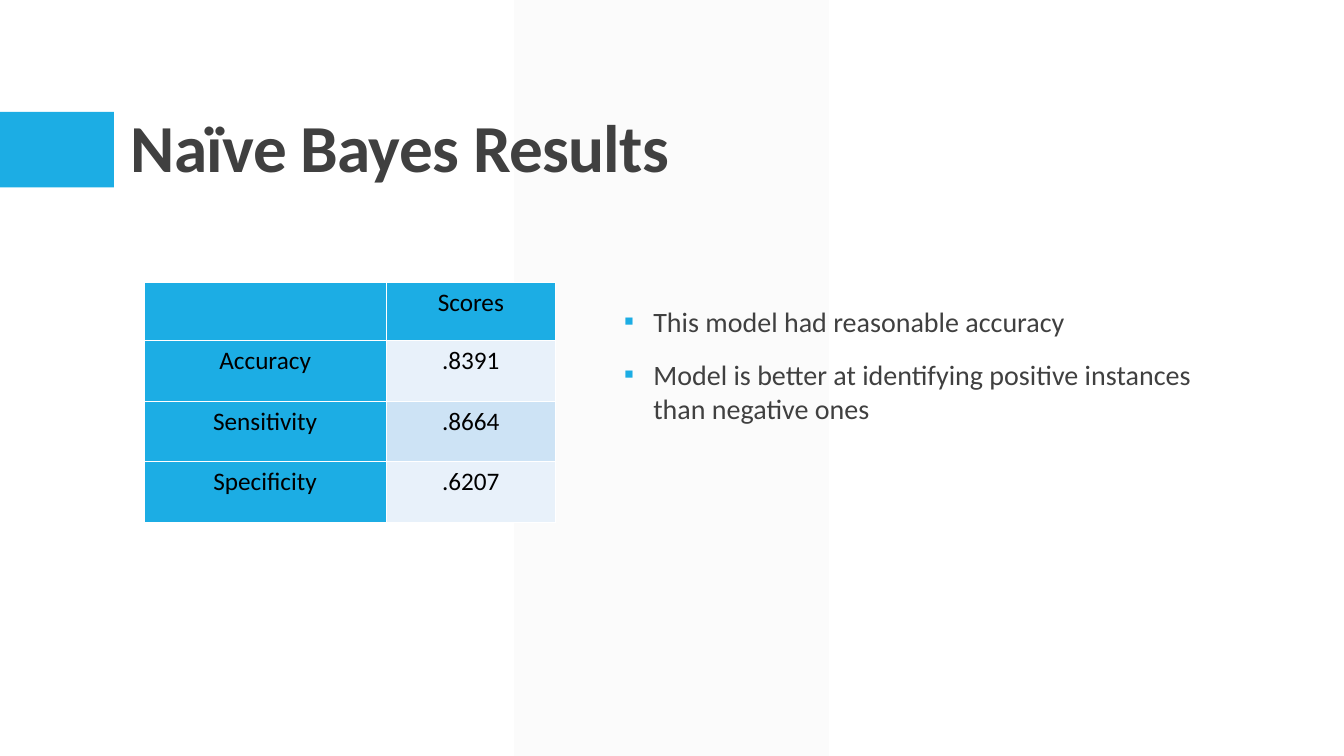
from dataclasses import dataclass

from lxml import etree
from pptx import Presentation
from pptx import util as u
from pptx.dml.color import RGBColor
from pptx.enum import shapes, text
from pptx.oxml import ns

PX = 9144
FONT = "Calibri"
BLUE, WHITE, GREY, BLACK = "1CADE4", "FFFFFF", "404040", "000000"
BANDS = ("E8F1FA", "CDE3F5")
ROWS = (
    ("", "Scores"),
    ("Accuracy", ".8391"),
    ("Sensitivity", ".8664"),
    ("Specificity", ".6207"),
)
COLUMN_WIDTHS = (240, 168)
ROW_HEIGHTS = (58, 60, 60, 60)
BULLETS = (
    "This model had reasonable accuracy",
    "Model is better at identifying positive instances than negative ones",
)


@dataclass(frozen=True)
class Box:
    left: int
    top: int
    width: int
    height: int

    def emu(self) -> list[int]:
        return [v * PX for v in (self.left, self.top, self.width, self.height)]


@dataclass(frozen=True)
class Panel:
    box: Box
    color: str
    opacity: int = 100


PANELS = (
    Panel(Box(510, 0, 312, 750), "F2F2F2", 30),
    Panel(Box(0, 111, 113, 75), BLUE),
)


def rgb(color: str) -> RGBColor:
    return RGBColor.from_string(color)


def add_child(parent, tag: str, **attrs: str):
    return etree.SubElement(parent, ns.qn(tag), attrs)


def style(p, size: int, color: str, bold: bool = False) -> None:
    for r in p.runs:
        r.font.name = FONT
        r.font.size = u.Pt(size)
        r.font.bold = bold
        r.font.color.rgb = rgb(color)


def add_panel(slide, panel: Panel) -> None:
    sp = slide.shapes.add_shape(shapes.MSO_SHAPE.RECTANGLE, *panel.box.emu())
    sp.shadow.inherit = False
    sp.line.fill.background()
    sp.fill.solid()
    sp.fill.fore_color.rgb = rgb(panel.color)
    if panel.opacity < 100:
        fill = sp.fill._xPr.find(ns.qn("a:solidFill"))
        add_child(fill[0], "a:alpha", val=str(panel.opacity * 1000))


def add_text_frame(slide, box: Box):
    tf = slide.shapes.add_textbox(*box.emu()).text_frame
    tf.word_wrap = True
    return tf


def add_title(slide, box: Box, title: str) -> None:
    tf = add_text_frame(slide, box)
    tf.vertical_anchor = text.MSO_ANCHOR.BOTTOM
    p = tf.paragraphs[0]
    p.text = title
    p.line_spacing = 0.9
    style(p, 48, GREY, bold=True)
    p.runs[0].font._element.set("spc", "-50")


def add_bullets(slide, box: Box, items: tuple[str, ...]) -> None:
    tf = add_text_frame(slide, box)
    tf.margin_left = tf.margin_right = 0
    tf.text = "\n".join(items)
    for p in tf.paragraphs:
        p.space_before, p.space_after = u.Pt(12), u.Pt(2)
        style(p, 20, GREY)
        pPr = p._p.get_or_add_pPr()
        pPr.set("marL", str(29 * PX))
        pPr.set("indent", str(-29 * PX))
        add_child(add_child(pPr, "a:buClr"), "a:srgbClr", val=BLUE)
        add_child(pPr, "a:buFont", typeface=FONT)
        add_child(pPr, "a:buChar", char="▪")


def set_borders(cell, color: str) -> None:
    tcPr = cell._tc.get_or_add_tcPr()
    for i, side in enumerate("LRTB"):
        ln = add_child(tcPr, f"a:ln{side}", w=str(u.Pt(1)))
        add_child(add_child(ln, "a:solidFill"), "a:srgbClr", val=color)
        tcPr.insert(i, ln)


def add_scores(slide, box: Box) -> None:
    table = slide.shapes.add_table(len(ROWS), len(COLUMN_WIDTHS), *box.emu()).table
    for column, width in zip(table.columns, COLUMN_WIDTHS):
        column.width = width * PX
    for row, height in zip(table.rows, ROW_HEIGHTS):
        row.height = height * PX
    for i, values in enumerate(ROWS):
        for j, value in enumerate(values):
            cell = table.cell(i, j)
            cell.fill.solid()
            is_header = i == 0 or j == 0
            cell.fill.fore_color.rgb = rgb(BLUE if is_header else BANDS[(i - 1) % 2])
            set_borders(cell, WHITE)
            p = cell.text_frame.paragraphs[0]
            p.text = value
            p.alignment = text.PP_ALIGN.CENTER
            style(p, 18, BLACK)


def main() -> None:
    """Build the Naïve Bayes results slide."""
    prs = Presentation()
    prs.slide_width, prs.slide_height = 1333 * PX, 750 * PX
    slide = prs.slides.add_slide(prs.slide_layouts[6])
    for panel in PANELS:
        add_panel(slide, panel)
    add_title(slide, Box(120, 31, 1100, 159), "Naïve Bayes Results")
    add_scores(slide, Box(143, 280, sum(COLUMN_WIDTHS), sum(ROW_HEIGHTS)))
    add_bullets(slide, Box(619, 297, 620, 362), BULLETS)
    prs.save("out.pptx")


if __name__ == "__main__":
    main()
